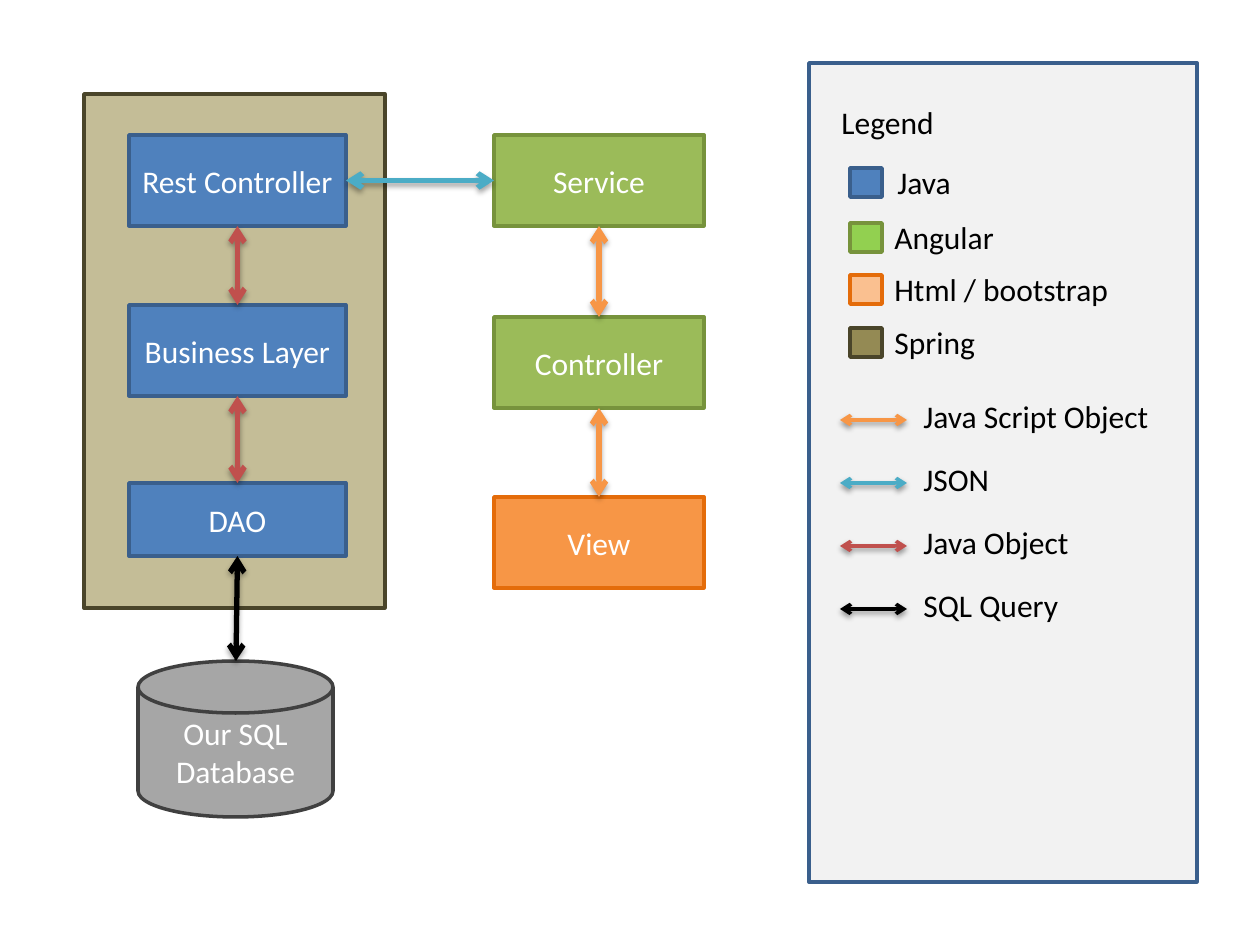
import lxml.etree
import pptx
import pptx.dml.color
import pptx.enum.shapes
import pptx.enum.text
import pptx.oxml
import pptx.oxml.ns
import pptx.util

RGB = pptx.dml.color.RGBColor
SHAPE = pptx.enum.shapes.MSO_SHAPE
ALIGN = pptx.enum.text.PP_ALIGN

WHITE = RGB(0xFF, 0xFF, 0xFF)
BLACK = RGB(0x00, 0x00, 0x00)
BLUE = RGB(0x4F, 0x81, 0xBD)
DARK_BLUE = RGB(0x3A, 0x5F, 0x8C)
GREEN = RGB(0x9B, 0xBB, 0x59)
BRIGHT_GREEN = RGB(0x92, 0xD0, 0x50)
DARK_GREEN = RGB(0x77, 0x93, 0x3C)
ORANGE = RGB(0xF7, 0x96, 0x46)
PALE_ORANGE = RGB(0xFA, 0xC0, 0x90)
DARK_ORANGE = RGB(0xE4, 0x6C, 0x0A)
TAN = RGB(0xC4, 0xBD, 0x97)
OLIVE = RGB(0x94, 0x8A, 0x54)
DARK_OLIVE = RGB(0x4A, 0x45, 0x2A)
GRAY = RGB(0xA6, 0xA6, 0xA6)
DARK_GRAY = RGB(0x40, 0x40, 0x40)
PALE_GRAY = RGB(0xF2, 0xF2, 0xF2)
RED = RGB(0xC0, 0x50, 0x4D)
TEAL = RGB(0x4B, 0xAC, 0xC6)

TOP, LEFT, BOTTOM, RIGHT = range(4)


def emu(px):
    return pptx.util.Emu(round(px * 914400 / 126))


class Diagram:
    font = "Calibri"
    size = pptx.util.Pt(18)

    def __init__(self, deck):
        self.slide = deck.slides.add_slide(deck.slide_layouts[6])

    def set_text(self, frame, text, color, align):
        frame.text = text
        for paragraph in frame.paragraphs:
            paragraph.alignment = align
            for run in paragraph.runs:
                run.font.name = self.font
                run.font.size = self.size
                run.font.color.rgb = color

    def box(self, bounds, fill, outline, text="", kind=SHAPE.RECTANGLE):
        box = self.slide.shapes.add_shape(kind, *map(emu, bounds))
        box.shadow.inherit = False
        box.fill.solid()
        box.fill.fore_color.rgb = fill
        box.line.color.rgb = outline
        box.line.width = pptx.util.Pt(2)
        if text:
            box.text_frame.vertical_anchor = pptx.enum.text.MSO_ANCHOR.MIDDLE
            self.set_text(box.text_frame, text, WHITE, ALIGN.CENTER)
        return box

    def label(self, left, top, width, text, wrap=True):
        label = self.slide.shapes.add_textbox(*map(emu, (left, top, width, 51)))
        frame = label.text_frame
        frame.word_wrap = wrap
        frame.auto_size = pptx.enum.text.MSO_AUTO_SIZE.SHAPE_TO_FIT_TEXT
        self.set_text(frame, text, BLACK, ALIGN.LEFT)

    def arrow(self, start, end, color, width=3, alpha=35, distance=1.8):
        arrow = self.slide.shapes.add_connector(
            pptx.enum.shapes.MSO_CONNECTOR.STRAIGHT, *map(emu, start + end))
        arrow.line.color.rgb = color
        arrow.line.width = pptx.util.Pt(width)
        outline = arrow.line._get_or_add_ln()
        for tip in ("a:headEnd", "a:tailEnd"):
            lxml.etree.SubElement(outline, pptx.oxml.ns.qn(tip), type="arrow")
        arrow._element.spPr.append(pptx.oxml.parse_xml(
            f'<a:effectLst {pptx.oxml.ns.nsdecls("a")}>'
            f'<a:outerShdw blurRad="{pptx.util.Pt(3.1)}" dist="{pptx.util.Pt(distance)}"'
            ' dir="5400000" rotWithShape="0"><a:srgbClr val="000000">'
            f'<a:alpha val="{alpha * 1000}"/></a:srgbClr></a:outerShdw></a:effectLst>'))
        return arrow

    def link(self, source, source_side, target, target_side, color):
        arrow = self.arrow((0, 0), (0, 0), color)
        arrow.begin_connect(source, source_side)
        arrow.end_connect(target, target_side)


def draw_architecture(diagram):
    diagram.box((84, 94, 301, 514), TAN, DARK_OLIVE)
    diagram.box((138, 661, 195, 156), GRAY, DARK_GRAY, "Our SQL\nDatabase",
                SHAPE.FLOWCHART_MAGNETIC_DISK)
    dao = diagram.box((129, 483, 217, 73), BLUE, DARK_BLUE, "DAO")
    business = diagram.box((129, 305, 217, 91), BLUE, DARK_BLUE, "Business Layer")
    rest = diagram.box((129, 135, 217, 91), BLUE, DARK_BLUE, "Rest Controller")
    service = diagram.box((494, 135, 210, 91), GREEN, DARK_GREEN, "Service")
    controller = diagram.box((494, 317, 210, 91), GREEN, DARK_GREEN, "Controller")
    view = diagram.box((494, 497, 210, 91), ORANGE, DARK_ORANGE, "View")

    query = diagram.arrow((237, 556), (236, 661), BLACK)
    query.begin_connect(dao, BOTTOM)
    diagram.link(business, BOTTOM, dao, TOP, RED)
    diagram.link(rest, BOTTOM, business, TOP, RED)
    diagram.link(rest, RIGHT, service, LEFT, TEAL)
    diagram.link(service, BOTTOM, controller, TOP, ORANGE)
    diagram.link(controller, BOTTOM, view, TOP, ORANGE)


def draw_legend(diagram):
    diagram.box((809, 63, 388, 819), PALE_GRAY, DARK_BLUE)
    diagram.label(829, 97, 231, "Legend")
    technologies = [
        ("Java", 168, BLUE, DARK_BLUE, 885, 220, True),
        ("Angular", 223, BRIGHT_GREEN, DARK_GREEN, 882, 220, True),
        ("Html / bootstrap", 275, PALE_ORANGE, DARK_ORANGE, 882, 273, True),
        ("Spring", 328, OLIVE, DARK_OLIVE, 882, 107, False),
    ]
    for name, top, fill, outline, left, width, wrap in technologies:
        diagram.box((850, top, 32, 29), fill, outline)
        diagram.label(left, top - 11, width, name, wrap)

    messages = [
        ("Java Script Object", ORANGE, 253),
        ("JSON", TEAL, 92),
        ("Java Object", RED, 173),
        ("SQL Query", BLACK, 161),
    ]
    for row, (name, color, width) in enumerate(messages):
        middle = 420 + 63 * row
        diagram.arrow((840, middle), (907, middle), color, 2, 38, 1.6)
        diagram.label(911, middle - 29, width, name, False)


def main():
    deck = pptx.Presentation()
    deck.slide_width, deck.slide_height = emu(1260), emu(945)
    diagram = Diagram(deck)
    draw_architecture(diagram)
    draw_legend(diagram)
    deck.save("out.pptx")


if __name__ == "__main__":
    main()
